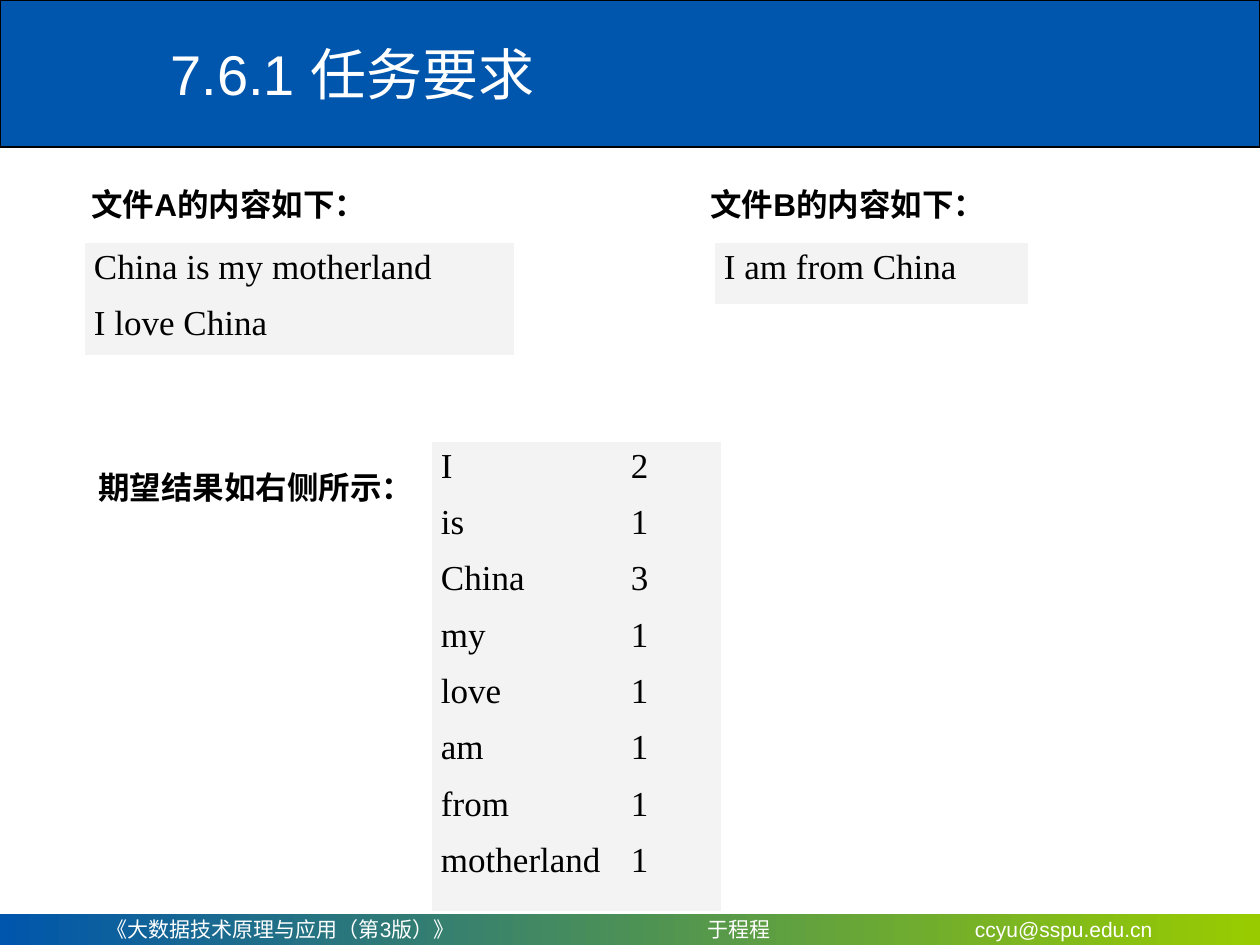
from dataclasses import dataclass

from lxml.etree import SubElement
from pptx import Presentation
from pptx.dml.color import RGBColor
from pptx.enum.shapes import MSO_SHAPE as Shape
from pptx.enum.text import MSO_ANCHOR as Anchor, MSO_AUTO_SIZE as AutoSize, PP_ALIGN as Align
from pptx.oxml.ns import qn
from pptx.util import Emu, Pt

EMU_PER_PX = 914400 / 126


@dataclass(frozen=True)
class Theme:
    blue: str = "0056AC"
    green: str = "99CC00"
    white: str = "FFFFFF"
    black: str = "000000"
    panel: str = "F3F3F3"
    sans: str = "Arial"
    serif: str = "Times New Roman"
    title_size: int = 32
    label_size: int = 18
    body_size: int = 20
    footer_size: int = 12
    body_gap: int = 5


THEME = Theme()


def px(value):
    return Emu(round(value * EMU_PER_PX))


def rgb(code):
    return RGBColor.from_string(code)


def set_tabs(paragraph, positions):
    tab_list = SubElement(paragraph._p.get_or_add_pPr(), qn("a:tabLst"))
    for position in positions:
        SubElement(tab_list, qn("a:tab"), pos=str(px(position)), algn="l")


def style_runs(paragraph, font_name, size, color, bold=False):
    for run in paragraph.runs:
        font = run.font
        font.name, font.size, font.bold = font_name, Pt(size), bold
        font.color.rgb = rgb(color)


def add_bar(slide, box):
    bar = slide.shapes.add_shape(Shape.RECTANGLE, *map(px, box))
    bar.shadow.inherit = False
    return bar


def add_header(slide, box, title):
    left, top, width, height = box
    bar = add_bar(slide, box)
    bar.fill.solid()
    bar.fill.fore_color.rgb = rgb(THEME.blue)
    bar.line.color.rgb = rgb(THEME.black)
    bar.line.width = Pt(0.75)

    # Title over the bar
    indent = 158
    title_box = slide.shapes.add_textbox(px(left + indent), px(top + 10), px(width - indent), px(126))
    frame = title_box.text_frame
    frame.word_wrap = True
    frame.vertical_anchor = Anchor.MIDDLE
    frame.text = title
    style_runs(frame.paragraphs[0], THEME.sans, THEME.title_size, THEME.white)


def add_footer(slide, box, entries, starts):
    bar = add_bar(slide, box)
    bar.line.fill.background()
    bar.fill.gradient()
    bar.fill.gradient_angle = 0
    for stop, color, position in zip(bar.fill.gradient_stops, (THEME.blue, THEME.green), (0, 1)):
        stop.color.rgb = rgb(color)
        stop.position = position

    # Book, author and address on tab stops
    frame = bar.text_frame
    frame.word_wrap = True
    frame.vertical_anchor = Anchor.MIDDLE
    frame.margin_left = px(starts[0])
    frame.text = "\t".join(entries)
    paragraph = frame.paragraphs[0]
    paragraph.alignment = Align.LEFT
    set_tabs(paragraph, [start - starts[0] for start in starts[1:]])
    style_runs(paragraph, THEME.sans, THEME.footer_size, THEME.white)


def add_label(slide, box, text):
    frame = slide.shapes.add_textbox(*map(px, box)).text_frame
    frame.word_wrap = False
    frame.auto_size = AutoSize.SHAPE_TO_FIT_TEXT
    frame.text = text
    style_runs(frame.paragraphs[0], THEME.sans, THEME.label_size, THEME.black, bold=True)


def add_panel(slide, box, lines, tabs=()):
    table = slide.shapes.add_table(1, 1, *map(px, box)).table
    table.first_row = table.horz_banding = False
    cell = table.cell(0, 0)
    cell.fill.solid()
    cell.fill.fore_color.rgb = rgb(THEME.panel)
    cell.margin_left = cell.margin_right = px(10)
    cell.margin_top = cell.margin_bottom = px(6)
    cell.text_frame.text = "\n".join(lines)
    for index, paragraph in enumerate(cell.text_frame.paragraphs):
        paragraph.alignment = Align.JUSTIFY
        if index:
            paragraph.space_before = Pt(THEME.body_gap)
        paragraph.space_after = Pt(THEME.body_gap)
        if tabs:
            set_tabs(paragraph, tabs)
        style_runs(paragraph, THEME.serif, THEME.body_size, THEME.black)


def add_file(slide, label_box, panel_box, name, lines):
    add_label(slide, label_box, f"文件{name}的内容如下：")
    add_panel(slide, panel_box, lines)


def add_word_counts(slide, label_box, panel_box, counts):
    add_label(slide, label_box, "期望结果如右侧所示：")
    lines = [f"{word}\t{count}" for word, count in counts.items()]
    add_panel(slide, panel_box, lines, tabs=[190])


def main():
    presentation = Presentation()
    presentation.slide_width, presentation.slide_height = px(1260), px(945)
    slide = presentation.slides.add_slide(presentation.slide_layouts[6])

    # Frame of the slide
    add_header(slide, (0, 0, 1260, 147), "7.6.1 任务要求")
    add_footer(slide, (0, 914, 1260, 31),
               ("《大数据技术原理与应用（第3版）》", "于程程", "ccyu@sspu.edu.cn"), (107, 708, 975))

    # Input files
    add_file(slide, (79, 179, 315, 50), (84, 242, 431, 108), "A",
             ["China is my motherland", "I love China"])
    add_file(slide, (698, 179, 315, 50), (714, 242, 315, 63), "B", ["I am from China"])

    # Expected result
    counts = {"I": 2, "is": 1, "China": 3, "my": 1, "love": 1, "am": 1, "from": 1, "motherland": 1}
    add_word_counts(slide, (86, 462, 340, 50), (431, 441, 291, 459), counts)

    presentation.save("out.pptx")


if __name__ == "__main__":
    main()
